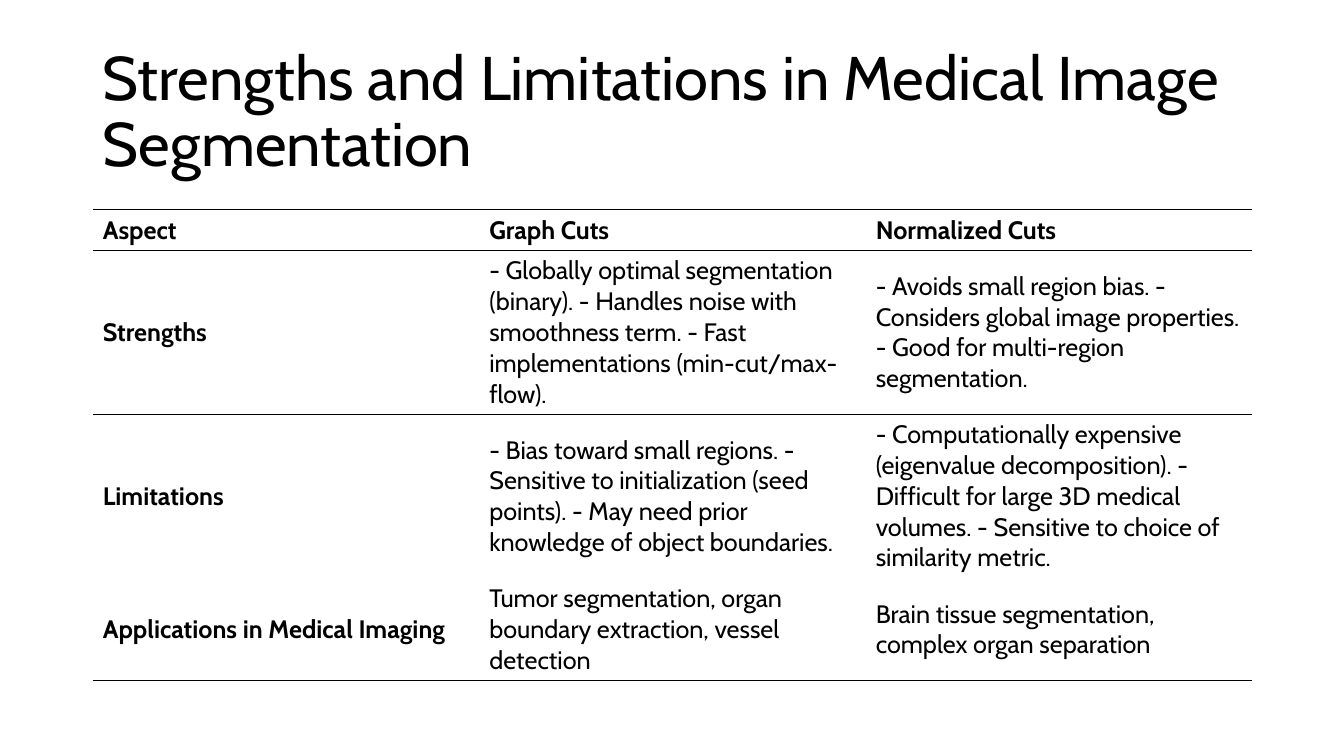
from lxml.etree import SubElement
from pptx import Presentation
from pptx.dml.color import RGBColor
from pptx.enum.text import MSO_ANCHOR, PP_ALIGN
from pptx.oxml.ns import qn
from pptx.util import Inches, Pt

TITLE = "Strengths and Limitations in Medical Image Segmentation"
ROWS = [
    ("Aspect", "Graph Cuts", "Normalized Cuts"),
    ("Strengths",
     "- Globally optimal segmentation (binary). - Handles noise with "
     "smoothness term. - Fast implementations (min-cut/max-flow).",
     "- Avoids small region bias. - Considers global image properties. "
     "- Good for multi-region segmentation."),
    ("Limitations",
     "- Bias toward small regions. - Sensitive to initialization (seed "
     "points). - May need prior knowledge of object boundaries.",
     "- Computationally expensive (eigenvalue decomposition). - Difficult for "
     "large 3D medical volumes. - Sensitive to choice of similarity metric."),
    ("Applications in Medical Imaging",
     "Tumor segmentation, organ boundary extraction, vessel detection",
     "Brain tissue segmentation, complex organ separation"),
]
ROW_HEIGHTS = [0.4, 1.62, 1.62, 1.01]
RULED_EDGES = {0, 1, 2, 4}  # horizontal edges that carry a line, from the top
LEFT, WIDTH = 0.92, 11.5
FONT, BLACK = "Cabin", "000000"


def color(hex_value):
    return RGBColor.from_string(hex_value)


def add_run(p, text, size, bold=False):
    r = p.add_run()
    r.text = text
    r.font.name, r.font.size, r.font.bold = FONT, Pt(size), bold
    r.font.color.rgb = color(BLACK)


def set_borders(cell, row):
    ruled = {"lnT": row in RULED_EDGES, "lnB": row + 1 in RULED_EDGES}
    tc_pr = cell._tc.get_or_add_tcPr()
    for side in ("lnL", "lnR", "lnT", "lnB"):
        ln = SubElement(tc_pr, qn(f"a:{side}"), w=str(Pt(1)))
        if ruled.get(side):
            fill = SubElement(ln, qn("a:solidFill"))
            SubElement(fill, qn("a:srgbClr"), val=BLACK)
        else:
            SubElement(ln, qn("a:noFill"))


prs = Presentation()
prs.slide_width, prs.slide_height = Inches(13.33), Inches(7.5)
s = prs.slides.add_slide(prs.slide_layouts[5])

# Title
title = s.shapes.title
title.left, title.top = Inches(LEFT), Inches(0.4)
title.width, title.height = Inches(WIDTH), Inches(1.45)
tf = title.text_frame
tf.word_wrap = True
tf.vertical_anchor = MSO_ANCHOR.MIDDLE
p = tf.paragraphs[0]
p.alignment, p.line_spacing = PP_ALIGN.LEFT, 0.9
add_run(p, TITLE, 44)

# Comparison table
table = s.shapes.add_table(
    len(ROWS), len(ROWS[0]), Inches(LEFT), Inches(2.08),
    Inches(WIDTH), Inches(sum(ROW_HEIGHTS))).table
table.first_row = table.horz_banding = False
for col in table.columns:
    col.width = Inches(WIDTH / len(ROWS[0]))
for i, (texts, height) in enumerate(zip(ROWS, ROW_HEIGHTS)):
    table.rows[i].height = Inches(height)
    for j, text in enumerate(texts):
        cell = table.cell(i, j)
        cell.vertical_anchor = MSO_ANCHOR.MIDDLE
        set_borders(cell, i)
        cell.fill.background()
        add_run(cell.text_frame.paragraphs[0], text, 18, bold=i == 0 or j == 0)

prs.save("out.pptx")
